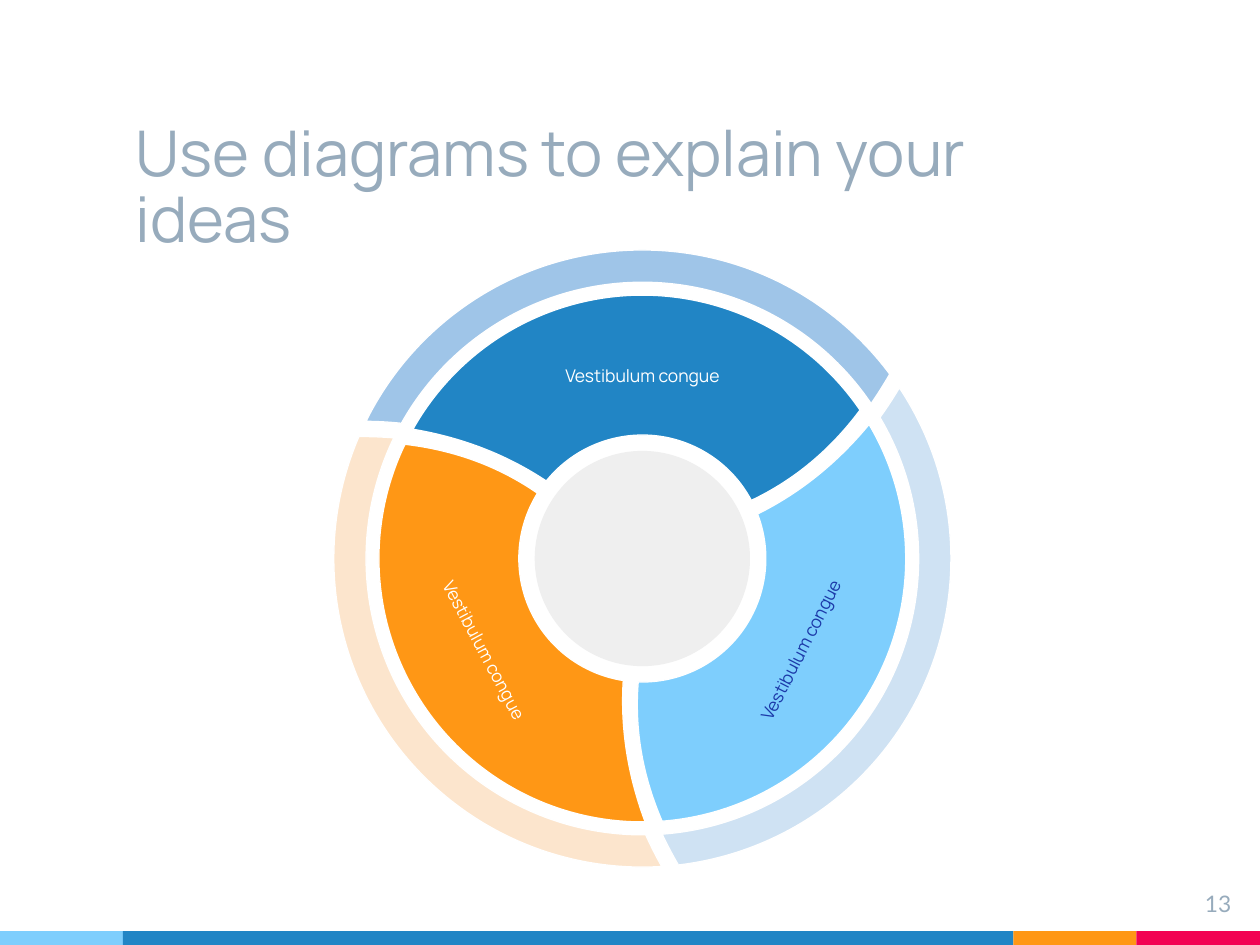
from math import cos, radians, sin, tan

from pptx import Presentation
from pptx import util as u
from pptx.dml.color import RGBColor
from pptx.enum import shapes, text
from pptx.oxml.ns import qn

SKY = RGBColor(0x7E, 0xCE, 0xFD)
BLUE = RGBColor(0x21, 0x85, 0xC5)
ORANGE = RGBColor(0xFF, 0x97, 0x15)
PINK = RGBColor(0xF2, 0x02, 0x53)
PALE_BLUE = RGBColor(0x9F, 0xC5, 0xE8)
PALE_SKY = RGBColor(0xCF, 0xE2, 0xF3)
PALE_ORANGE = RGBColor(0xFC, 0xE5, 0xCD)
GREY = RGBColor(0xEF, 0xEF, 0xEF)
SLATE = RGBColor(0x97, 0xAB, 0xBC)
NAVY = RGBColor(0x1C, 0x3A, 0xA9)
WHITE = RGBColor(0xFF, 0xFF, 0xFF)

TITLE = "Use diagrams to explain your ideas"
PAGE = "13"
# label, sector colour, ring colour, label colour, label rotation; clockwise from the top
SEGMENTS = [
    ("Vestibulum congue", BLUE, PALE_BLUE, WHITE, 0),
    ("Vestibulum congue", SKY, PALE_SKY, NAVY, 297),
    ("Vestibulum congue", ORANGE, PALE_ORANGE, WHITE, 62),
]
FOOTER = [(SKY, 2.48), (BLUE, 17.95), (ORANGE, 2.48), (PINK, 2.49)]  # colour, width

# All lengths in cm, all angles in degrees clockwise from the right
WIDTH, HEIGHT = 25.4, 19.05
FOOTER_TOP = 18.77
CENTRE_X, CENTRE_Y = 12.95, 11.26
DISC_RADIUS = 2.17
LABEL_RADIUS, LABEL_WIDTH, LABEL_HEIGHT = 3.68, 5.18, 1.86
# Radii (inner, outer), then the angles of each side at its inner, middle and outer radius
SECTOR = ((2.49, 5.31), (-141.1, -145.3, -150.6), (-28.1, -29.7, -34.3))
RING = ((5.57, 6.22), (-150.7, -152.15, -153.6), (-34.1, -35.4, -36.7))
ARC_PIECES = 4

deck = Presentation()
deck.slide_width, deck.slide_height = u.Cm(WIDTH), u.Cm(HEIGHT)
slide = deck.slides.add_slide(deck.slide_layouts[6])


def polar(radius, angle):
    a = radians(angle)
    return CENTRE_X + radius * cos(a), CENTRE_Y + radius * sin(a)


def paint(shape, fill, line=None):
    shape.shadow.inherit = False
    shape.fill.solid()
    shape.fill.fore_color.rgb = fill
    if line is None:
        shape.line.fill.background()
    else:
        shape.line.color.rgb = line
        shape.line.width = u.Pt(0.75)


def add_block(kind, left, top, width, height, fill):
    block = slide.shapes.add_shape(kind, u.Cm(left), u.Cm(top), u.Cm(width), u.Cm(height))
    paint(block, fill)


def add_text(words, left, top, width, height, *, size, color, font="Manrope",
             align=text.PP_ALIGN.LEFT, anchor=text.MSO_ANCHOR.MIDDLE,
             rotation=0, spacing=None):
    box = slide.shapes.add_textbox(u.Cm(left), u.Cm(top), u.Cm(width), u.Cm(height))
    box.rotation = rotation
    frame = box.text_frame
    frame.word_wrap = True
    frame.vertical_anchor = anchor
    frame.margin_left = frame.margin_right = u.Cm(0.25)
    frame.margin_top = frame.margin_bottom = u.Cm(0.25)
    paragraph = frame.paragraphs[0]
    paragraph.alignment = align
    if spacing:
        paragraph.line_spacing = spacing
    run = paragraph.add_run()
    run.text = words
    run.font.name, run.font.size, run.font.color.rgb = font, u.Pt(size), color


def side(radii, angles):
    """Two control points and the end of a curve through three (radius, angle) points."""
    inner, outer = radii
    start, middle, end = map(polar, (inner, (inner + outer) / 2, outer), angles)
    bend = [2 * m - (s + e) / 2 for s, m, e in zip(start, middle, end)]
    controls = [tuple(p + (b - p) * 2 / 3 for p, b in zip(point, bend))
                for point in (start, end)]
    return [start, *controls, end]


def arc(radius, start, end):
    """Control points and ends of the curves that follow a circle, without the first point."""
    step = (end - start) / ARC_PIECES
    reach = 4 / 3 * tan(radians(step) / 4) * radius
    points = []
    for piece in range(ARC_PIECES):
        angles = start + piece * step, start + (piece + 1) * step
        for angle, direction in zip(angles, (reach, -reach)):
            x, y = polar(radius, angle)
            a = radians(angle)
            points.append((x - direction * sin(a), y + direction * cos(a)))
        points.append(polar(radius, angles[1]))
    return points


def curve_outline(shape):
    """Turn each three straight lines of a freeform into one cubic curve."""
    lines = list(shape.element.iter(qn("a:lnTo")))
    for first, *others in zip(lines[::3], lines[1::3], lines[2::3]):
        first.tag = qn("a:cubicBezTo")
        for line in others:
            first.append(line[0])
            line.getparent().remove(line)


def add_band(band, turn, fill):
    """Draw one closed part of the wheel, turned by the given angle."""
    radii, *sides = band
    start, end = [[angle + turn for angle in angles] for angles in sides]
    outline = (side(radii, start) + arc(radii[1], start[2], end[2])
               + side(radii, end)[-2::-1] + arc(radii[0], end[0], start[0]))
    points = [(u.Cm(x), u.Cm(y)) for x, y in outline]
    builder = slide.shapes.build_freeform(*points[0])
    builder.add_line_segments(points[1:], close=True)
    part = builder.convert_to_shape()
    curve_outline(part)
    paint(part, fill, WHITE)


left = 0
for color, width in FOOTER:
    add_block(shapes.MSO_SHAPE.RECTANGLE, left, FOOTER_TOP, width, HEIGHT - FOOTER_TOP, color)
    left += width

add_text(TITLE, 2.48, 2.24, 17.95, 3.17, size=36, color=SLATE,
         anchor=text.MSO_ANCHOR.BOTTOM, spacing=0.87)

add_block(shapes.MSO_SHAPE.OVAL, CENTRE_X - DISC_RADIUS, CENTRE_Y - DISC_RADIUS,
          2 * DISC_RADIUS, 2 * DISC_RADIUS, GREY)

for index, (label, sector_color, ring_color, label_color, rotation) in enumerate(SEGMENTS):
    turn = index * 360 / len(SEGMENTS)
    add_band(RING, turn, ring_color)
    add_band(SECTOR, turn, sector_color)
    x, y = polar(LABEL_RADIUS, turn - 90)
    add_text(label, x - LABEL_WIDTH / 2, y - LABEL_HEIGHT / 2, LABEL_WIDTH, LABEL_HEIGHT,
             size=10, color=label_color, align=text.PP_ALIGN.CENTER, rotation=rotation)

add_text(PAGE, 23.55, 17.68, 1.52, 1.17, size=13, color=SLATE, font="Lato",
         align=text.PP_ALIGN.RIGHT, anchor=text.MSO_ANCHOR.TOP)

deck.save("out.pptx")
